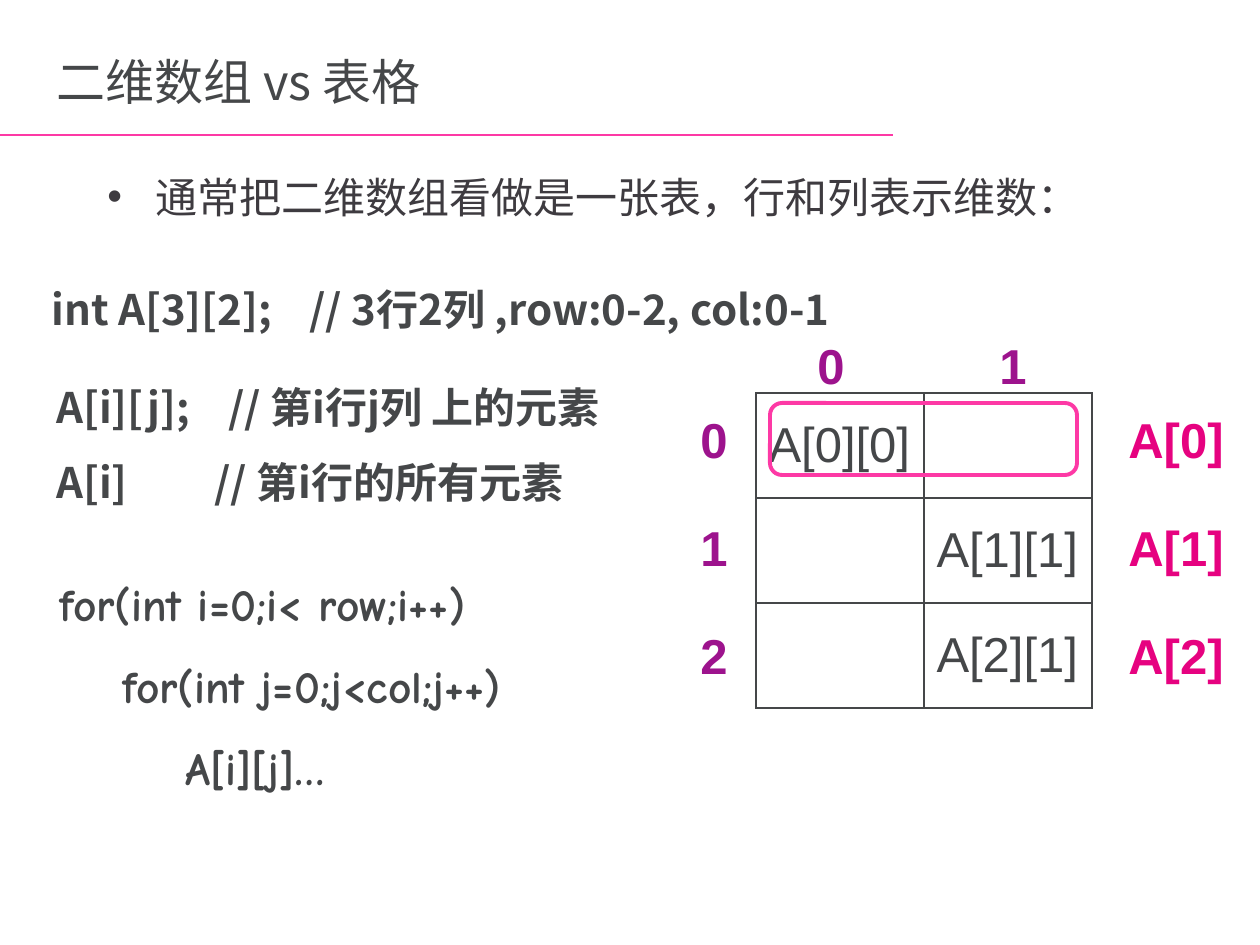
from lxml.etree import SubElement
from pptx import Presentation
from pptx.dml.color import RGBColor
from pptx.enum.shapes import MSO_CONNECTOR, MSO_SHAPE
from pptx.enum.text import MSO_ANCHOR, MSO_AUTO_SIZE as FIT
from pptx.oxml.ns import qn
from pptx.util import Pt

PX = 914400 / 126
COLORS = {"text": "454749", "body": "3E3B40", "index": "9D138D",
          "row": "E60280", "accent": "FD39A5"}
CJK, LATIN, CODE = "Noto Sans CJK SC", "Arial", "Comic Neue"

TITLE = "二维数组 vs 表格"
INTRO = "通常把二维数组看做是一张表，行和列表示维数："
DECLARATION = [("int A[3][2];\t// 3行2列 ,row:0-2, col:0-1", 258)]
ACCESS = [("A[i][j];\t// 第i行j列 上的元素", 172),
          ("A[i]\t// 第i行的所有元素", 158)]
LOOP = ["for(int i=0;i< row;i++)", "\tfor(int j=0;j<col;j++)", "\t\tA[i][j]…"]
CELLS = [["A[0][0]", ""], ["", "A[1][1]"], ["", "A[2][1]"]]

TABLE_X, TABLE_Y, COL_W, ROW_H = 756, 393, 168, 105
LABEL_Y, LABEL_STEP, LABEL_H = 403, 108, 72
INDEX_X, ROW_X, COL_X, COL_STEP, COL_Y = 688, 1116, 805, 182, 329


def emu(*lengths):
    return [round(v * PX) for v in lengths]


def rgb(name):
    return RGBColor.from_string(COLORS[name])


def style(p, text, font, size, color="text", bold=False):
    r = p.add_run()
    r.text = text
    for key, value in {"name": font, "size": Pt(size), "bold": bold}.items():
        setattr(r.font, key, value)
    r.font.color.rgb = rgb(color)
    SubElement(r.font._element, qn("a:ea"), typeface=font)


def add_text(s, box, lines, font, size, color="text", bold=False,
             spacing=None, **frame):
    tf = s.shapes.add_textbox(*emu(*box)).text_frame
    for key, value in {"word_wrap": True, "auto_size": FIT.NONE, **frame}.items():
        setattr(tf, key, value)
    for i, line in enumerate(lines):
        text, stop = line if isinstance(line, tuple) else (line, None)
        p = tf.add_paragraph() if i else tf.paragraphs[0]
        p.line_spacing = spacing
        if stop:
            tabs = SubElement(p._p.get_or_add_pPr(), qn("a:tabLst"))
            SubElement(tabs, qn("a:tab"), pos=str(emu(stop)[0]), algn="l")
        style(p, text, font, size, color, bold)
    return tf


def add_label(s, x, y, w, text, color):
    add_text(s, (x, y, w, LABEL_H), [text], LATIN, 28, color, True,
             word_wrap=False, auto_size=FIT.SHAPE_TO_FIT_TEXT)


def add_grid(s):
    rows, cols = len(CELLS), len(CELLS[0])
    box = emu(TABLE_X, TABLE_Y, COL_W * cols, ROW_H * rows)
    table = s.shapes.add_table(rows, cols, *box).table
    table.first_row = table.horz_banding = False
    for i, row in enumerate(CELLS):
        for j, text in enumerate(row):
            cell = table.cell(i, j)
            cell.vertical_anchor = MSO_ANCHOR.MIDDLE
            if text:
                style(cell.text_frame.paragraphs[0], text, LATIN, 28)
            for side in ("lnL", "lnR", "lnT", "lnB"):
                ln = SubElement(cell._tc.get_or_add_tcPr(), qn("a:" + side),
                                w=str(Pt(1)))
                fill = SubElement(ln, qn("a:solidFill"))
                SubElement(fill, qn("a:srgbClr"), val=COLORS["text"])
            cell.fill.background()


def main():
    prs = Presentation()
    prs.slide_width, prs.slide_height = emu(1260, 945)
    s = prs.slides.add_slide(prs.slide_layouts[6])

    add_text(s, (44, 26, 446, 110), [TITLE], CJK, 28,
             vertical_anchor=MSO_ANCHOR.MIDDLE)
    rule = s.shapes.add_connector(MSO_CONNECTOR.STRAIGHT, *emu(0, 135, 893, 135))
    rule.line.color.rgb, rule.line.width = rgb("accent"), Pt(1.5)
    SubElement(rule._element.spPr, qn("a:effectLst"))

    p = add_text(s, (95, 165, 1018, 100), [INTRO], CJK, 24, "body").paragraphs[0]
    p.space_before = Pt(18)
    pPr = p._p.get_or_add_pPr()
    hang = emu(48)[0]
    pPr.set("marL", str(hang))
    pPr.set("indent", str(-hang))
    SubElement(pPr, qn("a:buFont"), typeface=LATIN)
    SubElement(pPr, qn("a:buChar"), char="•")

    add_grid(s)
    for i in range(len(CELLS)):
        y = LABEL_Y + i * LABEL_STEP
        add_label(s, INDEX_X, y, 53, str(i), "index")
        add_label(s, ROW_X, y, 122, f"A[{i}]", "row")
    for j in range(len(CELLS[0])):
        add_label(s, COL_X + j * COL_STEP, COL_Y, 53, str(j), "index")

    frame = s.shapes.add_shape(MSO_SHAPE.ROUNDED_RECTANGLE, *emu(770, 403, 307, 72))
    frame.shadow.inherit = False
    frame.fill.background()
    frame.line.color.rgb, frame.line.width = rgb("accent"), Pt(2.25)

    grow = FIT.SHAPE_TO_FIT_TEXT
    add_text(s, (39, 277, 1164, 63), DECLARATION, CJK, 24, bold=True, auto_size=grow)
    add_text(s, (44, 350, 634, 165), ACCESS, CJK, 24, bold=True, spacing=1.5,
             auto_size=grow)
    add_text(s, (47, 543, 630, 251), LOOP, CODE, 26, bold=True, spacing=1.5,
             auto_size=grow)
    prs.save("out.pptx")


if __name__ == "__main__":
    main()
